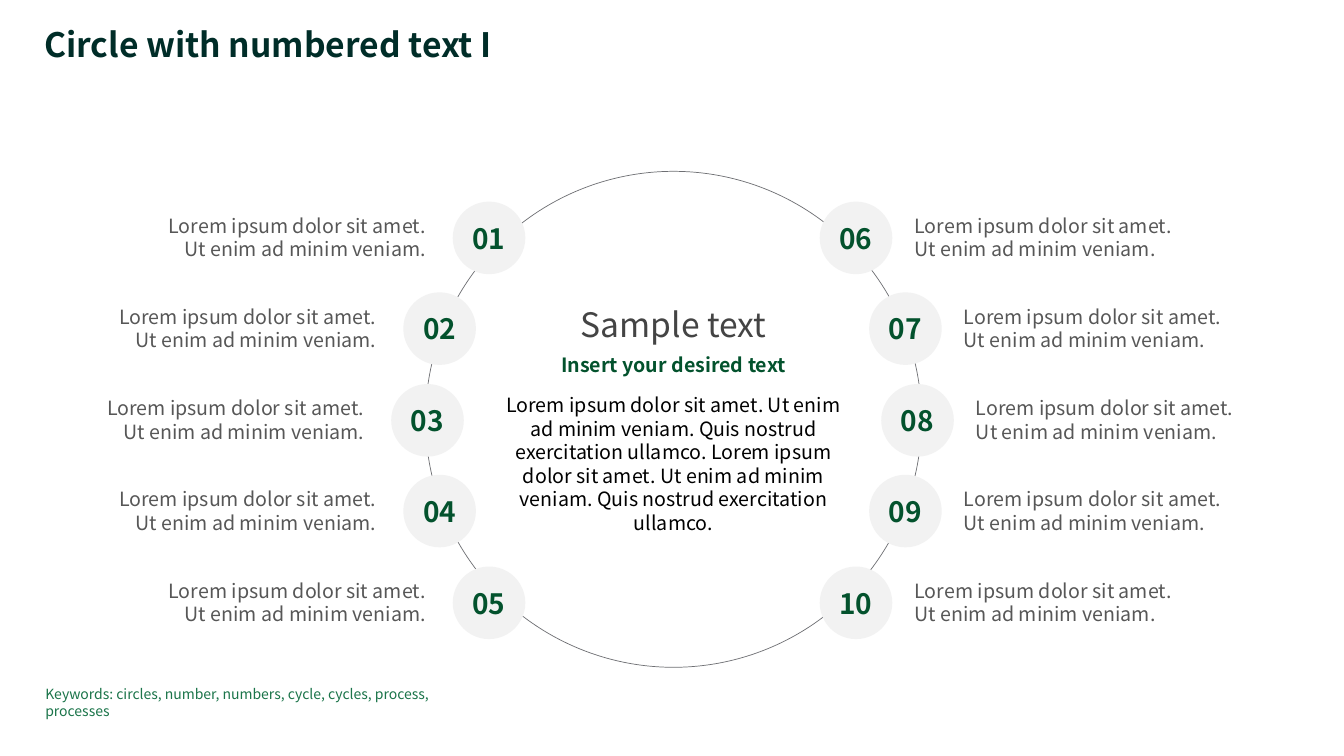
from dataclasses import dataclass

from pptx import Presentation
from pptx.dml.color import RGBColor
from pptx.enum.shapes import MSO_SHAPE
from pptx.enum.text import MSO_ANCHOR, MSO_AUTO_SIZE, PP_ALIGN
from pptx.util import Emu, Pt

PX = 9144  # EMU per px, 100 px to the inch


@dataclass(frozen=True)
class Theme:
    font: str = "Noto Sans CJK JP"
    title: str = "002D28"
    heading: str = "444444"
    accent: str = "03522D"
    body: str = "000000"
    label: str = "575757"
    keywords: str = "1A7449"
    ring: str = "6E6F73"
    badge: str = "F2F2F2"
    paper: str = "FFFFFF"
    large: int = 24
    number: int = 20
    text: int = 14
    small: int = 10


@dataclass(frozen=True)
class Box:
    left: int
    top: int
    width: int
    height: int

    def emu(self) -> tuple[Emu, ...]:
        return tuple(Emu(n * PX) for n in (self.left, self.top, self.width, self.height))


@dataclass(frozen=True)
class Step:
    number: int
    side: int  # -1 left of the ring, 1 right of it
    center_x: int
    center_y: int


THEME = Theme()

# Steps mirrored about the ring's axis, top to bottom on each side
AXIS, FIRST_ROW = 667, 236
ROW_PITCH = 90.5
OFFSETS = (182, 231, 243, 231, 182)
BADGE, LABEL_GAP, LABEL_HEIGHT = 72, 22, 47
LABEL_LEFT, LABEL_RIGHT = 57, 1276
LABEL_LINES = ("Lorem ipsum dolor sit amet. ", "Ut enim ad minim veniam.")

STEPS = [
    Step(first + row, side, AXIS + side * offset, FIRST_ROW + int(row * ROW_PITCH))
    for side, first in ((-1, 1), (1, 6))
    for row, offset in enumerate(OFFSETS)
]


def style(para, color: str, size: int, bold: bool = False, align=PP_ALIGN.LEFT) -> None:
    para.alignment = align
    para.font.name = THEME.font
    para.font.size = Pt(size)
    para.font.bold = bold
    para.font.color.rgb = RGBColor.from_string(color)


def set_frame(frame, inset_x: int = 0, inset_y: int = 0, anchor=MSO_ANCHOR.MIDDLE) -> None:
    frame.word_wrap = True
    frame.vertical_anchor = anchor
    frame.margin_left = frame.margin_right = Emu(inset_x * PX)
    frame.margin_top = frame.margin_bottom = Emu(inset_y * PX)


def add_plain_shape(page, kind, box: Box, fill: str | None = None):
    shape = page.shapes.add_shape(kind, *box.emu())
    shape.shadow.inherit = False
    shape.line.fill.background()
    if fill:
        shape.fill.solid()
        shape.fill.fore_color.rgb = RGBColor.from_string(fill)
    else:
        shape.fill.background()
    return shape


def add_title(page) -> None:
    title = page.shapes.title
    title.left, title.top, title.width, title.height = Box(44, 28, 1103, 37).emu()
    frame = title.text_frame
    set_frame(frame, anchor=MSO_ANCHOR.TOP)
    frame.auto_size = MSO_AUTO_SIZE.SHAPE_TO_FIT_TEXT
    frame.text = "Circle with numbered text I"
    frame.paragraphs[0].line_spacing = 0.9
    style(frame.paragraphs[0], THEME.title, THEME.large, bold=True)


def add_ring(page) -> None:
    ring = add_plain_shape(page, MSO_SHAPE.OVAL, Box(422, 170, 492, 492))
    ring.line.color.rgb = RGBColor.from_string(THEME.ring)
    ring.line.width = Pt(0.5)
    frame = ring.text_frame
    set_frame(frame, 8, 4)
    sentence = "Lorem ipsum dolor sit amet. Ut enim ad minim veniam. Quis nostrud exercitation ullamco."
    rows = (
        ("Sample text", THEME.heading, THEME.large, False, 6),
        ("Insert your desired text", THEME.accent, THEME.text, True, 12),
        (f"{sentence} {sentence}", THEME.body, THEME.text, False, 6),
    )
    frame.text = "\n".join(row[0] for row in rows)
    for para, (_, color, size, bold, after) in zip(frame.paragraphs, rows):
        para.space_after = Pt(after)
        style(para, color, size, bold, PP_ALIGN.CENTER)


def add_label(page, step: Step) -> None:
    inner = step.center_x + step.side * (BADGE // 2 + LABEL_GAP)
    left, right = (LABEL_LEFT, inner) if step.side < 0 else (inner, LABEL_RIGHT)
    box = Box(left, step.center_y - 24, right - left, LABEL_HEIGHT)
    frame = add_plain_shape(page, MSO_SHAPE.RECTANGLE, box, THEME.paper).text_frame
    set_frame(frame)
    # The left labels end in a space that sets both lines off evenly
    frame.text = "\v".join(LABEL_LINES) + (" " if step.side < 0 else "")
    align = PP_ALIGN.RIGHT if step.side < 0 else PP_ALIGN.LEFT
    style(frame.paragraphs[0], THEME.label, THEME.text, align=align)


def add_badge(page, step: Step) -> None:
    box = Box(step.center_x - BADGE // 2, step.center_y - BADGE // 2, BADGE, BADGE)
    frame = add_plain_shape(page, MSO_SHAPE.OVAL, box, THEME.badge).text_frame
    set_frame(frame, 8, 4)
    frame.text = f"{step.number:02d}"
    style(frame.paragraphs[0], THEME.accent, THEME.number, True, PP_ALIGN.CENTER)


def add_keywords(page) -> None:
    frame = page.shapes.add_textbox(*Box(45, 680, 440, 17).emu()).text_frame
    set_frame(frame, anchor=MSO_ANCHOR.TOP)
    frame.text = "Keywords: circles, number, numbers, cycle, cycles, process, processes"
    style(frame.paragraphs[0], THEME.keywords, THEME.small)


def main() -> None:
    deck = Presentation()
    deck.slide_width, deck.slide_height = Emu(1333 * PX), Emu(750 * PX)
    page = deck.slides.add_slide(deck.slide_layouts[5])
    add_title(page)
    add_ring(page)
    for step in STEPS:
        add_label(page, step)
    for step in STEPS:
        add_badge(page, step)
    add_keywords(page)
    deck.save("out.pptx")


if __name__ == "__main__":
    main()
